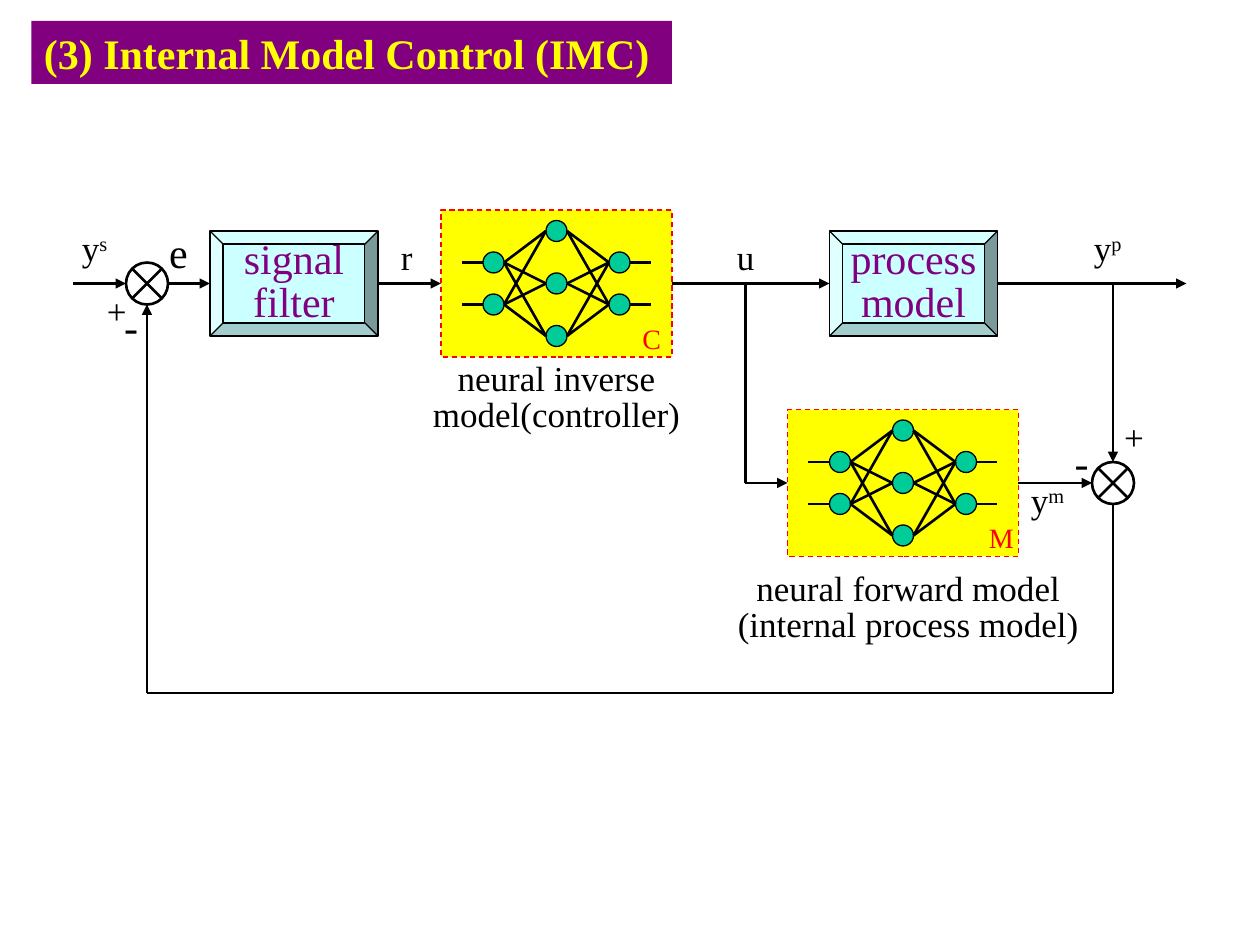
"""Build the Internal Model Control block diagram slide."""
from dataclasses import dataclass
from itertools import product

from lxml import etree
from pptx import Presentation
from pptx import util as u
from pptx.dml.color import RGBColor
from pptx.enum import dml, shapes, text
from pptx.oxml import ns


@dataclass(frozen=True)
class Theme:
    """Colours, font and sizes of the slide."""
    font: str = "Times New Roman"
    black: str = "000000"
    white: str = "FFFFFF"
    purple: str = "800080"
    yellow: str = "FFFF00"
    red: str = "FF0000"
    green: str = "00CC99"
    cyan: str = "CCFFFF"
    large: int = 24
    medium: int = 20
    small: int = 16
    thin: float = 0.75
    thick: float = 1.5


T = Theme()
SHAPE = shapes.MSO_SHAPE
CENTER = text.PP_ALIGN.CENTER
LEFT = text.PP_ALIGN.LEFT


def grid(n):
    """Turn grid steps, twelve to the inch, into a length."""
    return u.Cm(n * 2.54 / 12)


def rgb(color):
    """Turn a hex string into a colour."""
    return RGBColor.from_string(color)


def write(tf, lines, size, color, align=LEFT, bold=False, spacing=None, sup=None):
    """Write one paragraph per line, with an optional superscript at the end."""
    for i, line in enumerate(lines):
        p = tf.paragraphs[0] if i == 0 else tf.add_paragraph()
        p.alignment = align
        p.line_spacing = spacing
        for part in [line, sup] if sup else [line]:
            r = p.add_run()
            r.text = part
            r.font.name = T.font
            r.font.size = u.Pt(size)
            r.font.bold = bold
            r.font.color.rgb = rgb(color)
    if sup:
        r._r.get_or_add_rPr().set("baseline", "30000")


def add_box(parent, kind, x, y, w, h, fill, line=None, width=T.thin):
    """Add a filled preset shape."""
    sp = parent.shapes.add_shape(kind, grid(x), grid(y), grid(w), grid(h))
    sp.shadow.inherit = False
    sp.fill.solid()
    sp.fill.fore_color.rgb = rgb(fill)
    if line:
        sp.line.color.rgb = rgb(line)
        sp.line.width = u.Pt(width)
    else:
        sp.line.fill.background()
    return sp


def add_line(parent, x1, y1, x2, y2, arrow=False):
    """Add a straight signal line, with an arrowhead at its end if asked."""
    c = parent.shapes.add_connector(
        shapes.MSO_CONNECTOR.STRAIGHT, grid(x1), grid(y1), grid(x2), grid(y2))
    c.line.color.rgb = rgb(T.black)
    c.line.width = u.Pt(T.thick)
    if arrow:
        etree.SubElement(c.line._get_or_add_ln(), ns.qn("a:tailEnd"), type="triangle")
    etree.SubElement(c._element.spPr, ns.qn("a:effectLst"))


def add_label(s, x, y, w, h, lines, size=T.medium, color=T.black, **style):
    """Add a free text label."""
    sp = s.shapes.add_textbox(grid(x), grid(y), grid(w), grid(h))
    tf = sp.text_frame
    tf.word_wrap = True
    tf.auto_size = text.MSO_AUTO_SIZE.SHAPE_TO_FIT_TEXT
    write(tf, lines, size, color, **style)


def add_title(s, title):
    """Add the title bar."""
    sp = add_box(s, SHAPE.RECTANGLE, 3, 2, 61, 6, T.purple)
    tf = sp.text_frame
    tf.word_wrap = True
    tf.vertical_anchor = text.MSO_ANCHOR.TOP
    write(tf, [title], T.large, T.yellow, bold=True)


def add_block(s, x, y, lines):
    """Add a bevelled process block."""
    sp = add_box(s, SHAPE.BEVEL, x, y, 16, 10, T.cyan, T.black)
    tf = sp.text_frame
    tf.word_wrap = False
    tf.vertical_anchor = text.MSO_ANCHOR.MIDDLE
    write(tf, lines, T.large, T.purple, align=CENTER, spacing=0.85)


def add_junction(s, x, y):
    """Add a summing junction."""
    add_box(s, SHAPE.FLOWCHART_SUMMING_JUNCTION, x, y, 4, 4, T.white, T.black, T.thick)


def add_network(s, x, y, name):
    """Add a dashed panel that holds a neural network."""
    panel = add_box(s, SHAPE.RECTANGLE, x, y, 22, 14, T.yellow, T.red)
    panel.line.dash_style = dml.MSO_LINE.DASH
    group = s.shapes.add_group_shape()
    outer, hidden = (y + 4, y + 8), (y + 1, y + 6, y + 11)
    for nx, rows in ((x + 4, outer), (x + 10, hidden), (x + 16, outer)):
        for ny in rows:
            add_box(group, SHAPE.OVAL, nx, ny, 2, 2, T.green, T.black)
    for a, b in product(outer, hidden):
        add_line(group, x + 6, a + 1, x + 10, b + 1)
        add_line(group, x + 12, b + 1, x + 16, a + 1)
    for lx, ny in product((x + 2, x + 18), outer):
        add_line(group, lx, ny + 1, lx + 2, ny + 1)
    add_label(s, x + 18, y + 10, 5, 4.4, [name], T.small, T.red)


def add_signals(s):
    """Add the signal paths between the blocks."""
    arrows = [(7, 27, 12, 27), (16, 27, 20, 27), (36, 27, 42, 27),
              (64, 27, 79, 27), (95, 27, 113, 27), (71, 46, 75, 46),
              (97, 46, 104, 46), (106, 27, 106, 44), (14, 66, 14, 29)]
    plain = [(71, 27, 71, 46), (106, 48, 106, 66), (106, 66, 14, 66)]
    for ends in arrows:
        add_line(s, *ends, arrow=True)
    for ends in plain:
        add_line(s, *ends)


def add_labels(s):
    """Add signal names, signs and captions."""
    for x, y, w, name, sup, align in [
            (37, 21.8, 5, "r", None, LEFT), (69, 21.8, 5, "u", None, LEFT),
            (103, 21, 7, "y", "p", LEFT), (97, 45, 7, "y", "m", LEFT),
            (6, 21, 6, "y", "s", CENTER), (9, 27, 4, "+", None, CENTER),
            (105, 39, 6, "+", None, CENTER)]:
        add_label(s, x, y, w, 5.25, [name], align=align, sup=sup)
    for x, y, w, name in [(14, 21, 6, "e"), (10, 28, 5, "-"), (101, 41, 4, "-")]:
        add_label(s, x, y, w, 6, [name], T.large, align=CENTER)
    for x, y, w, lines in [
            (40, 34, 26, ["neural inverse", "model(controller)"]),
            (68, 54, 37, ["neural forward model", "(internal process model)"])]:
        add_label(s, x, y, w, 8, lines, align=CENTER, spacing=0.85)


def main():
    """Build and save the slide."""
    prs = Presentation()
    prs.slide_width, prs.slide_height = u.Cm(25.4), u.Cm(19.05)
    s = prs.slides.add_slide(prs.slide_layouts[6])
    add_title(s, "(3) Internal Model Control (IMC)")
    add_network(s, 42, 20, "C")
    add_network(s, 75, 39, "M")
    add_block(s, 20, 22, ["signal", "filter"])
    add_block(s, 79, 22, ["process", "model"])
    add_junction(s, 12, 25)
    add_junction(s, 104, 44)
    add_signals(s)
    add_labels(s)
    prs.save("out.pptx")


if __name__ == "__main__":
    main()
